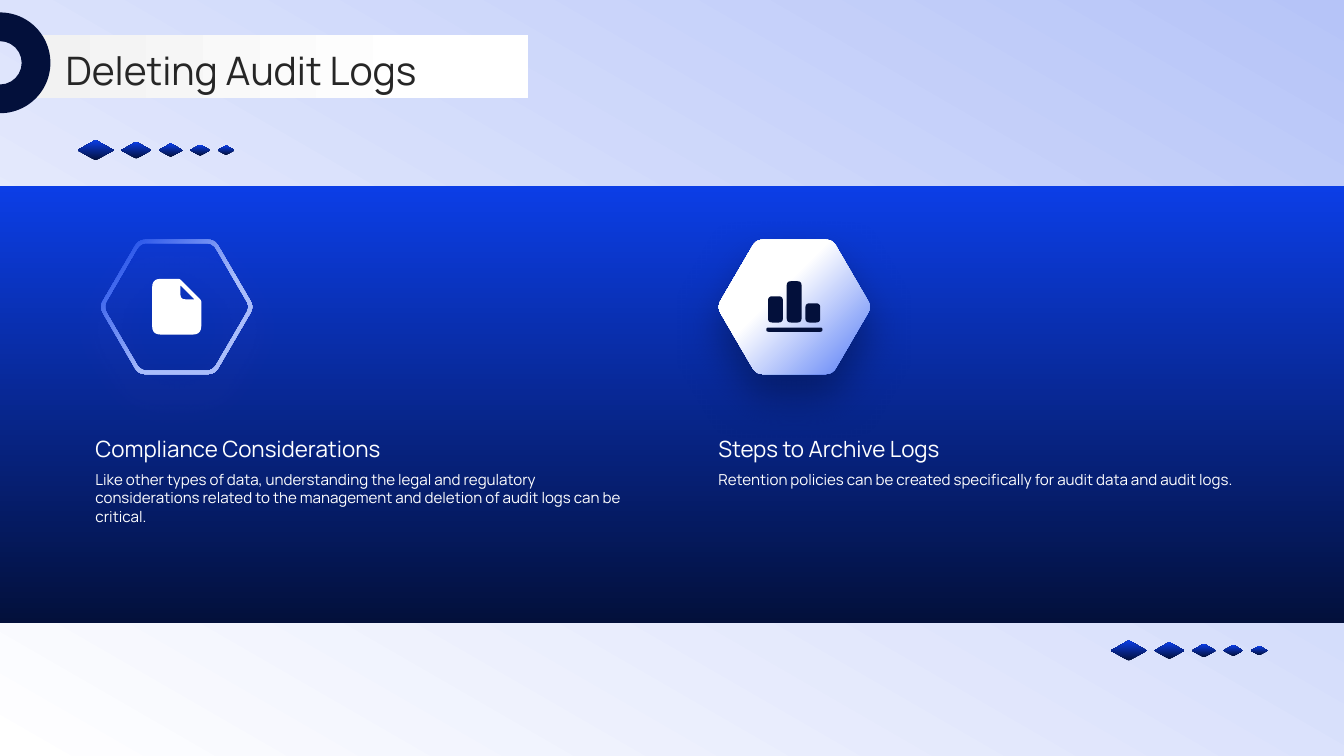
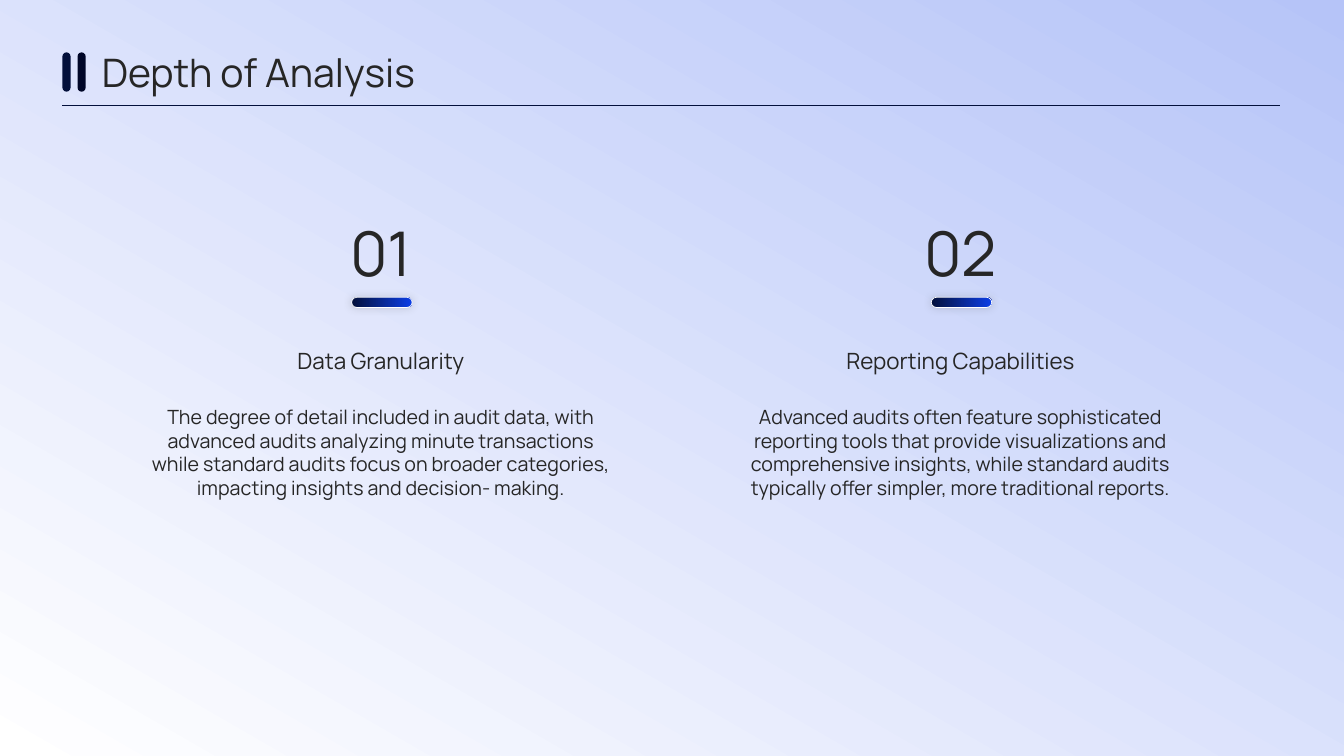
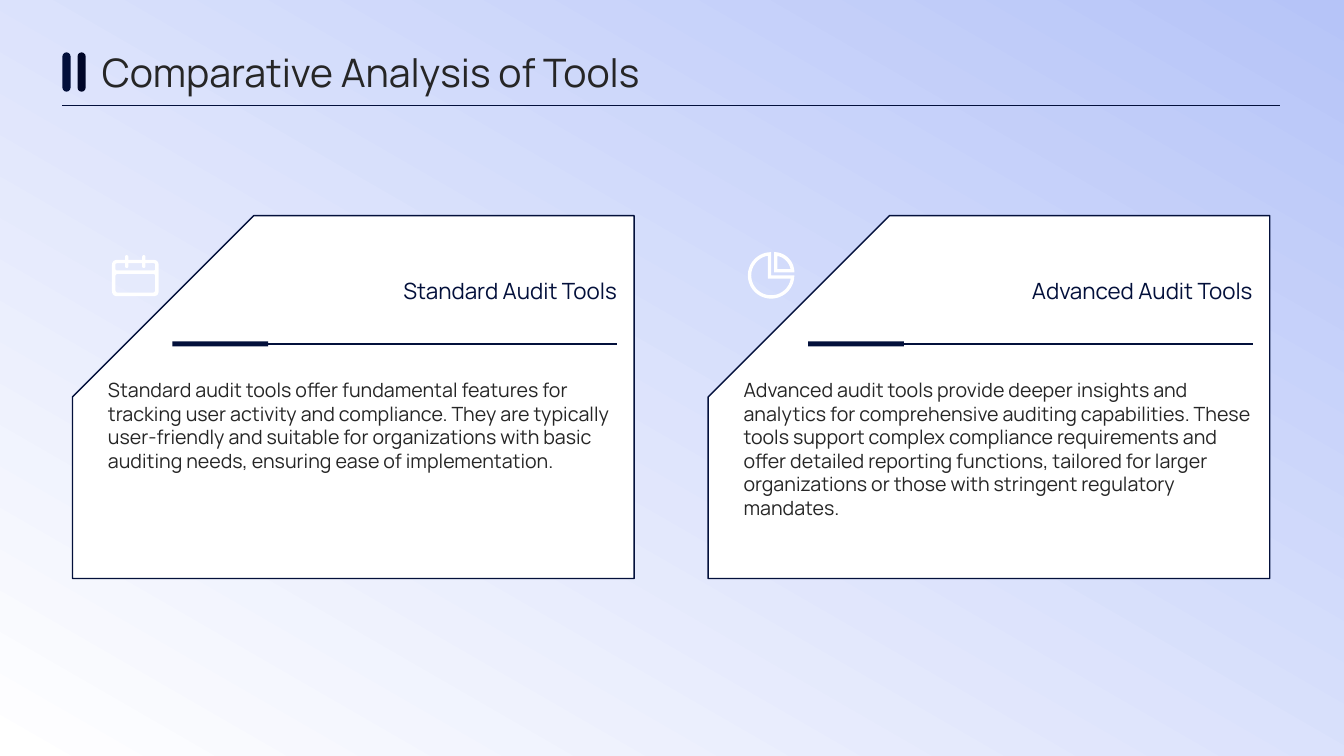
from math import cos, radians, sin

from lxml.etree import SubElement
from pptx import Presentation
from pptx.dml.color import RGBColor
from pptx.enum.shapes import MSO_CONNECTOR, MSO_SHAPE
from pptx.enum.text import MSO_ANCHOR, PP_ALIGN
from pptx.oxml.ns import qn
from pptx.util import Pt

FONT = "Manrope"
NAVY, BLUE, WHITE, INK = "03103B", "0C3EE6", "FFFFFF", "262626"
W, H = 960, 540

# Gradients: first colour and stop, last colour and stop, clockwise angle or focus corner
BACK = ("B6C4F8", 0, WHITE, 1, 120)
RISE = (NAVY, 0, BLUE, 1, 270)
SIDE = (NAVY, 0, BLUE, 1, 0)
PLATE = ("F2F2F2", 0, WHITE, 0.8, 0)
GLOW = ("AABDFB", 0.39, BLUE, 1, "lt")
PEARL = (WHITE, 0.39, "547AF6", 1, "rb")


def color(code):
    return RGBColor.from_string(code)


# Outlines, as lists of points
def bend(corners):
    """Round each corner (x, y, radius) of a polygon."""
    out = []
    for i, (x, y, r) in enumerate(corners):
        if not r:
            out.append((x, y))
            continue
        ends = []
        for px, py, _ in (corners[i - 1], corners[(i + 1) % len(corners)]):
            size = ((px - x) ** 2 + (py - y) ** 2) ** 0.5
            ends.append((x + (px - x) * r / size, y + (py - y) * r / size))
        (ax, ay), (bx, by) = ends
        for t in (0, 0.2, 0.4, 0.6, 0.8, 1):
            a, m, b = (1 - t) ** 2, 2 * t * (1 - t), t * t
            out.append((a * ax + m * x + b * bx, a * ay + m * y + b * by))
    return out


def box(x, y, w, h, r):
    return bend([(x, y, r), (x + w, y, r), (x + w, y + h, r), (x, y + h, r)])


def arc(x, y, r, start, end):
    angles = [radians(start + (end - start) * i / 40) for i in range(41)]
    return [(x + r * cos(a), y + r * sin(a)) for a in angles]


def hexa(x, y, scale=1):
    half = [(-55.2, 0), (-27.2, -48), (27.2, -48)]
    ends = half + [(-dx, -dy) for dx, dy in half]
    return bend([(x + dx * scale, y + dy * scale, 5) for dx, dy in ends])


class Deck:
    def __init__(self):
        self.prs = Presentation()
        self.prs.slide_width, self.prs.slide_height = Pt(W), Pt(H)
        self.slide = None

    def page(self):
        self.slide = self.prs.slides.add_slide(self.prs.slide_layouts[6])
        self.shape(0, 0, W, H, BACK)

    def paint(self, shape, fill, line=None, shade=None):
        if isinstance(fill, str):
            shape.fill.solid()
            shape.fill.fore_color.rgb = color(fill)
        else:
            self.blend(shape, *fill)
        if line:
            shape.line.color.rgb = color(line[0])
            shape.line.width = Pt(line[1])
        else:
            shape.line.fill.background()
        shape.shadow.inherit = False
        if shade:
            self.shade(shape, *shade)
        return shape

    def blend(self, shape, first, start, last, end, way):
        shape.fill.gradient()
        for stop, code, at in zip(shape.fill.gradient_stops, (first, last), (start, end)):
            stop.color.rgb = color(code)
            stop.position = at
        if not isinstance(way, str):
            shape.fill.gradient_angle = (360 - way) % 360
            return
        grad = shape._element.spPr.find(qn("a:gradFill"))
        grad.remove(grad.find(qn("a:lin")))
        focus = SubElement(grad, qn("a:path"), {"path": "circle"})
        SubElement(focus, qn("a:fillToRect"), {side: "100000" for side in way})

    def shade(self, shape, code, alpha, blur, dist):
        effect = shape._element.spPr.find(qn("a:effectLst"))
        outer = SubElement(effect, qn("a:outerShdw"), {
            "blurRad": str(Pt(blur)), "dist": str(Pt(dist)),
            "dir": "5400000", "algn": "ctr", "rotWithShape": "0"})
        tint = SubElement(outer, qn("a:srgbClr"), {"val": code})
        SubElement(tint, qn("a:alpha"), {"val": str(alpha * 1000)})

    def shape(self, x, y, w, h, fill, kind=MSO_SHAPE.RECTANGLE, line=None, shade=None):
        item = self.slide.shapes.add_shape(kind, Pt(x), Pt(y), Pt(w), Pt(h))
        return self.paint(item, fill, line, shade)

    def pill(self, x, y, w, h, fill, line=None, shade=None):
        item = self.shape(x, y, w, h, fill, MSO_SHAPE.ROUNDED_RECTANGLE, line, shade)
        item.adjustments[0] = 0.5

    def free(self, fill, *loops, shade=None):
        form = None
        for loop in loops:
            points = [(Pt(x), Pt(y)) for x, y in loop]
            if form is None:
                form = self.slide.shapes.build_freeform(*points[0])
            else:
                form.move_to(*points[0])
            form.add_line_segments(points[1:], close=True)
        self.paint(form.convert_to_shape(), fill, shade=shade)

    def text(self, x, y, w, h, words, size, code=INK,
             align=PP_ALIGN.LEFT, anchor=MSO_ANCHOR.TOP):
        frame = self.slide.shapes.add_textbox(Pt(x), Pt(y), Pt(w), Pt(h)).text_frame
        frame.word_wrap = True
        frame.vertical_anchor = anchor
        frame.margin_left = frame.margin_right = 0
        frame.margin_top = frame.margin_bottom = 0
        frame.text = words
        para = frame.paragraphs[0]
        para.alignment = align
        font = para.runs[0].font
        font.name, font.size, font.color.rgb = FONT, Pt(size), color(code)

    def rule(self, x, y, end, width):
        item = self.slide.shapes.add_connector(
            MSO_CONNECTOR.STRAIGHT, Pt(x), Pt(y), Pt(end), Pt(y))
        item.line.color.rgb = color(NAVY)
        item.line.width = Pt(width)
        SubElement(item._element.spPr, qn("a:effectLst"))

    def head(self, words):
        self.text(72.7, 33.1, 790, 36.7, words, 28, anchor=MSO_ANCHOR.MIDDLE)
        for x, code in ((44.6, NAVY), (55.4, "000627")):
            self.pill(x, 37.4, 5.8, 28.1, code)
        self.rule(44.6, 75.6, 914.4, 0.5)

    def gems(self, x, mid):
        for w in (25.9, 21.6, 17.3, 14.4, 12.2):
            h = w * 0.56
            self.shape(x, mid - h / 2, w, h, RISE, MSO_SHAPE.DIAMOND)
            x += w + 5.2


def logs(deck):
    deck.page()
    deck.shape(0, 133.2, W, 311.8, RISE)
    deck.gems(55.4, 107.3)
    deck.gems(793.4, 464.7)

    # Hexagon badges with file and chart icons
    deck.free(GLOW, hexa(126.2, 219.2), hexa(126.2, 219.2, 0.95),
              shade=("D783FF", 20, 30, 16))
    deck.free(WHITE,
              bend([(108.7, 199.2, 6), (128.3, 199.2, 1), (143.8, 214.7, 1),
                    (143.8, 239, 6), (108.7, 239, 6)]),
              bend([(128.9, 203.8, 0), (128.9, 213.8, 3.5), (138.9, 213.8, 0)]))
    deck.free(PEARL, hexa(567.4, 219.2), shade=(NAVY, 50, 30, 16))
    bars = [box(548.6 + 13.35 * i, 230.4 - h, 10.6, h, 3)
            for i, h in enumerate((18.7, 29.5, 13.7))]
    deck.free(NAVY, box(547.4, 234, 40.1, 3, 1.5), *bars)

    # Captions
    notes = (
        ("Compliance Considerations",
         "Like other types of data, understanding the legal and regulatory considerations "
         "related to the management and deletion of audit logs can be critical."),
        ("Steps to Archive Logs",
         "Retention policies can be created specifically for audit data and audit logs."),
    )
    for i, (name, body) in enumerate(notes):
        x = 68.2 + 444.9 * i
        deck.text(x, 281.5, 377.3, 48.2, name, 16, WHITE, anchor=MSO_ANCHOR.BOTTOM)
        deck.text(x, 336.2, 377.3, 74.2, body, 10.8, WHITE)

    # Title plate
    deck.shape(23.8, 25.2, 353.5, 44.6, PLATE)
    deck.text(46.8, 31.7, 855.4, 36.7, "Deleting Audit Logs", 28, anchor=MSO_ANCHOR.MIDDLE)
    ring = deck.shape(-36, 8.9, 72, 72, NAVY, MSO_SHAPE.BLOCK_ARC)
    ring.adjustments[2] = 0.285
    ring.rotation = 90


def depth(deck):
    deck.page()
    parts = (
        ("Data Granularity",
         "The degree of detail included in audit data, with advanced audits analyzing minute "
         "transactions while standard audits focus on broader categories, impacting insights "
         "and decision- making."),
        ("Reporting Capabilities",
         "Advanced audits often feature sophisticated reporting tools that provide "
         "visualizations and comprehensive insights, while standard audits typically offer "
         "simpler, more traditional reports."),
    )
    mid = PP_ALIGN.CENTER
    for i, (name, body) in enumerate(parts):
        x = 102.2 + 414 * i
        deck.text(x + 127.5, 153.4, 85, 47.5, f"{i + 1:02}", 44, align=mid)
        deck.pill(x + 149, 212.4, 43.2, 7.2, SIDE, (WHITE, 0.5), ("404040", 20, 6, 0))
        deck.text(x, 234, 339.8, 47.5, name, 16, align=mid, anchor=MSO_ANCHOR.MIDDLE)
        deck.text(x, 289.4, 339.8, 129.6, body, 14, align=mid)
    deck.head("Depth of Analysis")


def tools(deck):
    deck.page()
    cards = (
        ("Standard Audit Tools",
         "Standard audit tools offer fundamental features for tracking user activity and "
         "compliance. They are typically user-friendly and suitable for organizations with "
         "basic auditing needs, ensuring ease of implementation."),
        ("Advanced Audit Tools",
         "Advanced audit tools provide deeper insights and analytics for comprehensive "
         "auditing capabilities. These tools support complex compliance requirements and "
         "offer detailed reporting functions, tailored for larger organizations or those "
         "with stringent regulatory mandates."),
    )
    for i, (name, body) in enumerate(cards):
        x = 51.8 + 454 * i
        card = deck.shape(x, 154, 401.2, 259.2, WHITE, MSO_SHAPE.SNIP_1_RECTANGLE, (NAVY, 1))
        card.adjustments[0] = 0.5
        card._element.spPr.find(qn("a:xfrm")).set("flipH", "1")
        deck.text(x + 25.3, 270, 363.6, 127.4, body, 14)
        deck.text(x + 101.6, 175.7, 287.3, 64.1, name, 16, NAVY,
                  PP_ALIGN.RIGHT, MSO_ANCHOR.MIDDLE)
        deck.rule(x + 73.5, 245.7, x + 389.2, 1)
        deck.shape(x + 71.4, 243.9, 68.4, 3.6, NAVY)

    # Calendar icon
    deck.free(WHITE, box(80, 185.6, 33.4, 26, 4), box(82.5, 195.6, 28.4, 13.4, 1.8),
              box(82.5, 188, 28.4, 5.2, 1.2))
    for x in (89.3, 101.5):
        deck.pill(x, 182.2, 2.4, 9.2, WHITE)

    # Pie icon
    deck.free(WHITE, arc(550.8, 196.7, 16.6, 0, 270) + [(550.8, 196.7)],
              arc(550.8, 196.7, 14.2, 9, 261) + [(548.5, 199)],
              arc(553, 194.5, 14.4, 270, 360) + [(553, 194.5)],
              arc(553, 194.5, 11.9, 281, 349) + [(555.3, 192.2)])
    deck.head("Comparative Analysis of Tools")


def main():
    deck = Deck()
    for build in (logs, depth, tools):
        build(deck)
    deck.prs.save("out.pptx")


if __name__ == "__main__":
    main()
